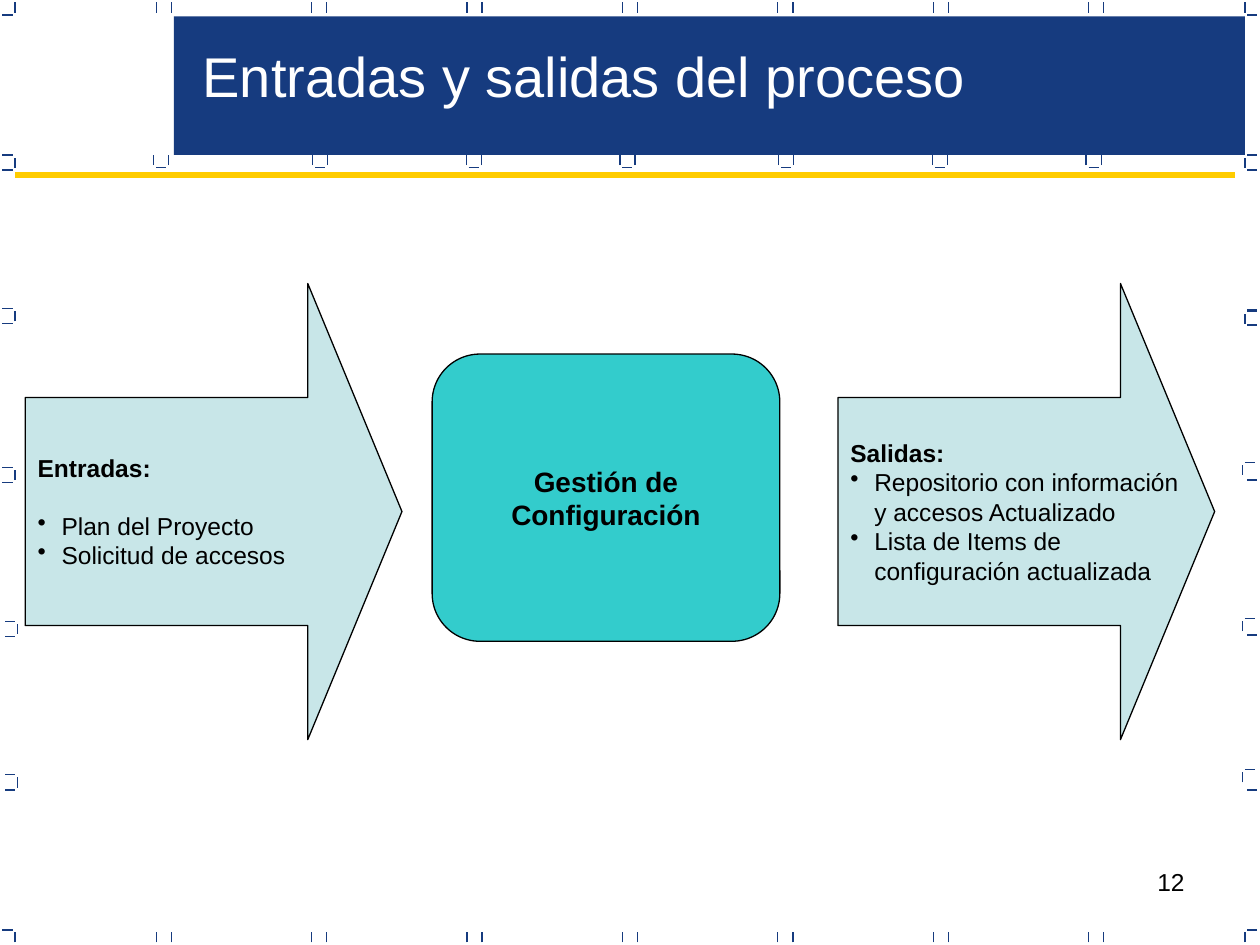
from lxml import etree
from pptx import Presentation
from pptx.dml.color import RGBColor
from pptx.enum.shapes import MSO_CONNECTOR, MSO_SHAPE
from pptx.enum.text import MSO_ANCHOR, PP_ALIGN
from pptx.oxml.ns import qn
from pptx.util import Inches, Pt

STRAIGHT = MSO_CONNECTOR.STRAIGHT
RECTANGLE, ROUNDED = MSO_SHAPE.RECTANGLE, MSO_SHAPE.ROUNDED_RECTANGLE
ARROW = MSO_SHAPE.RIGHT_ARROW
LEFT, CENTER, RIGHT = PP_ALIGN.LEFT, PP_ALIGN.CENTER, PP_ALIGN.RIGHT
MIDDLE = MSO_ANCHOR.MIDDLE

NAVY, YELLOW, TEAL, PALE = "163B7F", "FFCC00", "33CCCC", "BBE0E3"
BLACK, WHITE = "000000", "FFFFFF"
TICK, GAP = 0.08, 0.02  # tick length and its distance from a cell corner
CELL = TICK + 2 * GAP


def color(value):
    return RGBColor.from_string(value)


def add_line(slide, x1, y1, x2, y2, line_color=NAVY, width=0.75):
    line = slide.shapes.add_connector(
        STRAIGHT, Inches(x1), Inches(y1), Inches(x2), Inches(y2))
    line.line.color.rgb = color(line_color)
    line.line.width = Pt(width)
    etree.SubElement(line._element.spPr, qn("a:effectLst"))


def add_vertical_tick(slide, x, top):
    add_line(slide, x, top + TICK, x, top)


def add_horizontal_tick(slide, left, y):
    add_line(slide, left, y, left + TICK, y)


def add_shape(slide, kind, left, top, width, height, fill, outline=None):
    shape = slide.shapes.add_shape(
        kind, Inches(left), Inches(top), Inches(width), Inches(height))
    shape.shadow.inherit = False
    shape.fill.solid()
    shape.fill.fore_color.rgb = color(fill)
    if outline:
        shape.line.color.rgb = color(outline)
        shape.line.width = Pt(0.75)
    else:
        shape.line.fill.background()
    return shape


def style_paragraph(para, text, size, text_color=BLACK, bold=False, align=LEFT):
    para.text = text
    para.alignment = align
    para.font.name = "Arial"
    para.font.size = Pt(size)
    para.font.bold = bold
    para.font.color.rgb = color(text_color)


def add_text(slide, left, top, width, height, text, size, text_color, align):
    box = slide.shapes.add_textbox(
        Inches(left), Inches(top), Inches(width), Inches(height))
    box.text_frame.word_wrap = True
    style_paragraph(box.text_frame.paragraphs[0], text, size, text_color,
                    align=align)


def add_bullet(para):
    properties = para._p.get_or_add_pPr()
    properties.set("marL", str(Inches(0.19)))
    properties.set("indent", str(Inches(-0.19)))
    etree.SubElement(properties, qn("a:buChar"), char="•")


def add_list_arrow(slide, left, heading, items, heading_gap=0, wrap=True):
    arrow = add_shape(slide, ARROW, left, 2.25, 2.99, 3.62, PALE, BLACK)
    arrow.adjustments[0] = 0.5
    arrow.adjustments[1] = 0.25
    fill_color = arrow._element.spPr.find(qn("a:solidFill"))[0]
    etree.SubElement(fill_color, qn("a:alpha"), val="80000")

    frame = arrow.text_frame
    frame.word_wrap = wrap
    frame.vertical_anchor = MIDDLE
    title = frame.paragraphs[0]
    style_paragraph(title, heading, 14, bold=True)
    title.space_after = Pt(heading_gap)
    for item in items:
        para = frame.add_paragraph()
        add_bullet(para)
        style_paragraph(para, item, 14)


def add_border_ticks(slide):
    # Pairs along the top and bottom edges
    for column in range(7):
        x = 1.36 + column * 7.4 / 6
        for top in (0.02, 7.4):
            add_vertical_tick(slide, x, top)
            add_vertical_tick(slide, x - CELL, top)

    # Slide corners
    for x, left in ((0.12, 0.02), (9.88, 9.9)):
        for top, y in ((0.02, 0.12), (7.4, 7.38)):
            add_vertical_tick(slide, x, top)
            add_horizontal_tick(slide, left, y)

    # Brackets on the left edge, by their lower right corner
    for x, y in ((0.12, 1.35), (0.12, 2.57), (0.12, 3.83),
                 (0.14, 5.05), (0.14, 6.27)):
        add_vertical_tick(slide, x, y - GAP - TICK)
        add_horizontal_tick(slide, x - GAP - TICK, y)
        add_horizontal_tick(slide, x - GAP - TICK, y - CELL)

    # Brackets on the right edge, by their upper left corner
    for x, y in ((9.88, 1.23), (9.88, 2.47), (9.86, 3.67),
                 (9.86, 4.91), (9.86, 6.11)):
        add_vertical_tick(slide, x, y + GAP)
        add_horizontal_tick(slide, x + GAP, y)
    for y in (1.35, 2.46, 2.58, 3.81, 5.04, 6.27):
        add_horizontal_tick(slide, 9.9, y)

    # Cups under the title band
    for x in (1.34, 2.6, 3.82, 5.04, 6.3, 7.52, 8.74):
        add_vertical_tick(slide, x, 1.23)
        add_vertical_tick(slide, x - CELL, 1.23)
        add_horizontal_tick(slide, x - CELL + GAP, 1.33)


def main():
    deck = Presentation()
    deck.slide_width, deck.slide_height = Inches(10), Inches(7.5)
    slide = deck.slides.add_slide(deck.slide_layouts[6])

    # Frame and title
    add_text(slide, 7.17, 6.83, 2.33, 0.52, "12", 14, BLACK, RIGHT)
    add_shape(slide, RECTANGLE, 1.38, 0.13, 8.5, 1.1, NAVY)
    add_border_ticks(slide)
    add_text(slide, 1.51, 0.28, 6.8, 0.64, "Entradas y salidas del proceso",
             32, WHITE, LEFT)

    # Process: inputs, activity, outputs
    add_list_arrow(slide, 0.2, "Entradas:",
                   ["Plan del Proyecto", "Solicitud de accesos"],
                   heading_gap=16)
    activity = add_shape(slide, ROUNDED, 3.43, 2.81, 2.76, 2.28, TEAL, BLACK)
    activity.text_frame.word_wrap = True
    activity.text_frame.vertical_anchor = MIDDLE
    style_paragraph(activity.text_frame.paragraphs[0],
                    "Gestión de Configuración", 16, bold=True, align=CENTER)
    add_list_arrow(slide, 6.65, "Salidas:",
                   ["Repositorio con información\ny accesos Actualizado",
                    "Lista de Items de\nconfiguración actualizada"],
                   wrap=False)

    # Rule under the title
    add_line(slide, 0.12, 1.39, 9.8, 1.39, YELLOW, 3)

    deck.save("out.pptx")


if __name__ == "__main__":
    main()
